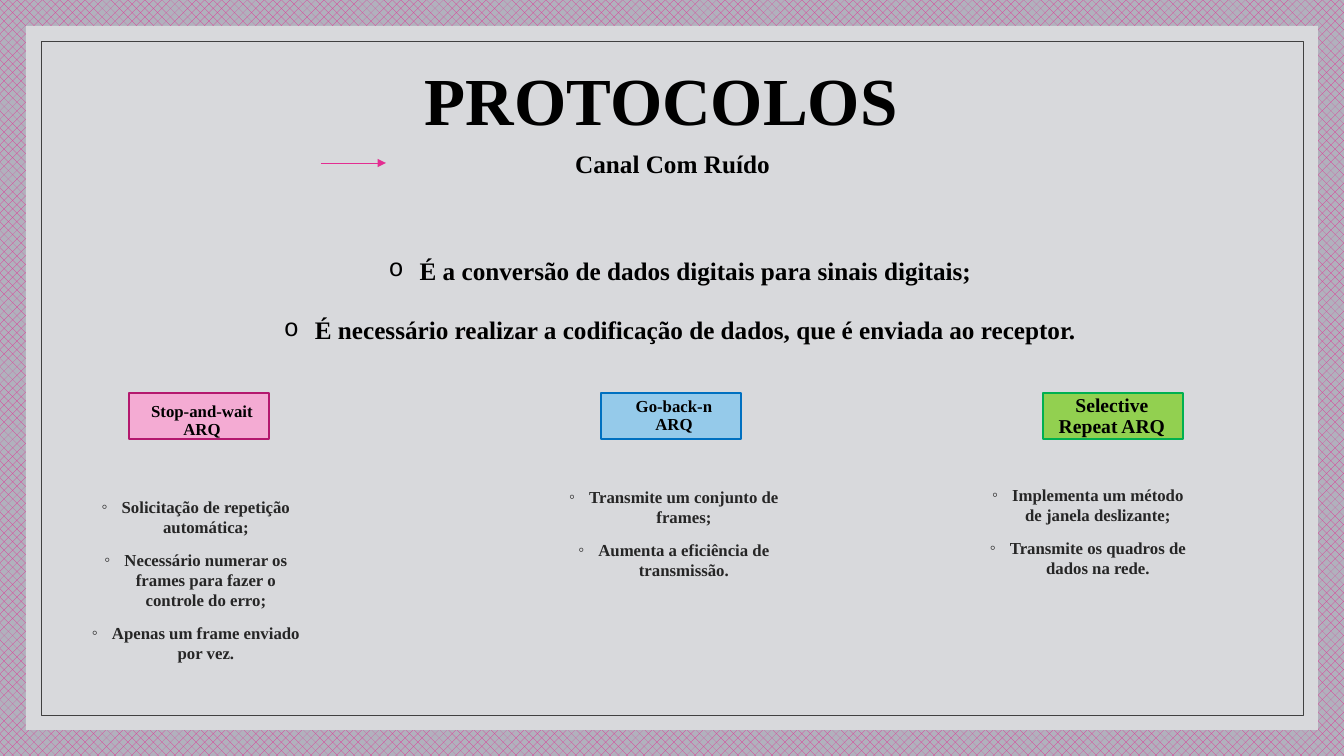
from lxml import etree
from pptx import Presentation
from pptx.dml.color import RGBColor
from pptx.enum.dml import MSO_PATTERN
from pptx.enum.shapes import MSO_CONNECTOR, MSO_SHAPE
from pptx.enum.text import MSO_ANCHOR as ANCHOR, PP_ALIGN as ALIGN
from pptx.oxml.ns import qn
from pptx.util import Pt

EMU_PER_PIXEL = 914400 / 100.8
FONT = "Times New Roman"
BLACK, GRAY, PINK = "000000", "262626", "E32D91"
CIRCLE_BULLET = {"char": "o", "font": "Courier New", "indent": 31, "color": BLACK}
RING_BULLET = {"char": "◦", "font": FONT, "indent": 20, "color": GRAY}


def px(*lengths):
    return [round(length * EMU_PER_PIXEL) for length in lengths]


def color(hex_text):
    return RGBColor.from_string(hex_text)


def set_values(target, values):
    for name, value in values.items():
        setattr(target, name, value)


def add_child(parent, tag, **attributes):
    return etree.SubElement(parent, qn(tag), attributes)


def add_bullet(paragraph, bullet):
    properties = paragraph._p.get_or_add_pPr()
    indent, = px(bullet["indent"])
    properties.set("marL", str(indent))
    properties.set("indent", str(-indent))
    bullet_color = add_child(properties, "a:buClr")
    add_child(bullet_color, "a:srgbClr", val=bullet["color"])
    add_child(properties, "a:buFont", typeface=bullet["font"])
    add_child(properties, "a:buChar", char=bullet["char"])


def write_text(frame, lines, size, ink=BLACK, anchor=ANCHOR.TOP, bullet=None, **spacing):
    set_values(frame, {"word_wrap": True, "vertical_anchor": anchor})
    for index, line in enumerate(lines):
        paragraph = frame.add_paragraph() if index else frame.paragraphs[0]
        set_values(paragraph, {"alignment": ALIGN.CENTER, **spacing})
        if bullet:
            add_bullet(paragraph, bullet)
        run = paragraph.add_run()
        run.text = line
        set_values(run.font, {"name": FONT, "size": Pt(size), "bold": True})
        run.font.color.rgb = color(ink)


def add_text(slide, box, lines, size, **options):
    frame = slide.shapes.add_textbox(*px(*box)).text_frame
    write_text(frame, lines, size, **options)


def add_rectangle(slide, box, fill=None, line=None, width=1):
    shape = slide.shapes.add_shape(MSO_SHAPE.RECTANGLE, *px(*box))
    shape.shadow.inherit = False
    for paint, value in ((shape.fill, fill), (shape.line.fill, line)):
        if value:
            paint.solid()
            paint.fore_color.rgb = color(value)
        else:
            paint.background()
    if line:
        shape.line.width = Pt(width)
    return shape


def add_arrow(slide, left, top, length):
    arrow = slide.shapes.add_connector(
        MSO_CONNECTOR.STRAIGHT, *px(left, top, left + length, top))
    arrow.line.color.rgb = color(PINK)
    arrow.line.width = Pt(0.5)
    add_child(arrow.line._get_or_add_ln(), "a:tailEnd", type="triangle")
    add_child(arrow._element.spPr, "a:effectLst")


def build_backdrop(slide, box):
    fill = slide.background.fill
    fill.patterned()
    fill.pattern = MSO_PATTERN.from_xml("pct40")
    fill.fore_color.rgb = color(PINK)
    fill.back_color.rgb = color("B1B1BD")
    left, top, width, height = box
    inset = 15
    inner = (left + inset, top + inset, width - 2 * inset, height - 2 * inset)
    panel = add_rectangle(slide, box, fill="D8D9DC")
    border = add_rectangle(slide, inner, line="404040", width=0.5)
    # The title stays in front of the panel
    for shape in (panel, border):
        slide.shapes.title.element.addprevious(shape.element)


def build_heading(slide, box):
    left, top, width, height = box
    title = slide.shapes.title
    set_values(title, dict(zip(("left", "top", "width", "height"), px(*box))))
    write_text(title.text_frame, ["PROTOCOLOS"], 48,
               anchor=ANCHOR.MIDDLE, line_spacing=0.9)
    add_text(slide, (left + 11, top + 115, width, 66), ["Canal Com Ruído"], 18,
             space_before=Pt(9))
    add_arrow(slide, left + 214, top + 135, 65)


def build_protocol(slide, box, protocol):
    left, top, width, height = box
    add_rectangle(slide, box, fill=protocol["fill"], line=protocol["line"])
    label_left, label_top, label_width = protocol["label"]
    add_text(slide, (left + label_left, top + label_top, label_width, 57),
             [protocol["name"]], protocol["size"],
             anchor=ANCHOR.MIDDLE, line_spacing=0.9)
    points_left, points_top = protocol["points_at"]
    add_text(slide, (left + points_left, top + points_top, 232, 190),
             protocol["points"], 12, ink=GRAY, bullet=RING_BULLET,
             space_before=Pt(9))


DEFINITIONS = [
    "É a conversão de dados digitais para sinais digitais;",
    "É necessário realizar a codificação de dados, que é enviada ao receptor.",
]
# Label and point offsets are relative to each coloured box
PROTOCOLS = [
    {"left": 129, "name": "Stop-and-wait ARQ", "size": 12,
     "fill": "F4ABD3", "line": "B4186E",
     "label": (12, 0, 122), "points_at": (-49, 99),
     "points": ["Solicitação de repetição automática;",
                "Necessário numerar os frames para fazer o controle do erro;",
                "Apenas um frame enviado por vez."]},
    {"left": 601, "name": "Go-back-n ARQ", "size": 12,
     "fill": "95CAEA", "line": "0070C0",
     "label": (12, -5, 122), "points_at": (-43, 89),
     "points": ["Transmite um conjunto de frames;",
                "Aumenta a eficiência de transmissão."]},
    {"left": 1043, "name": "Selective Repeat ARQ", "size": 14,
     "fill": "92D050", "line": "00B050",
     "label": (-1, -5, 140), "points_at": (-71, 87),
     "points": ["Implementa um método de janela deslizante;",
                "Transmite os quadros de dados na rede."]},
]

presentation = Presentation()
presentation.slide_width, presentation.slide_height = px(1344, 756)
slide = presentation.slides.add_slide(presentation.slide_layouts[5])

build_backdrop(slide, (26, 26, 1292, 704))
build_heading(slide, (107, 28, 1109, 151))
add_text(slide, (158, 250, 1044, 102), DEFINITIONS, 18,
         bullet=CIRCLE_BULLET, space_before=Pt(21))
for protocol in PROTOCOLS:
    build_protocol(slide, (protocol["left"], 393, 140, 46), protocol)

presentation.save("out.pptx")
